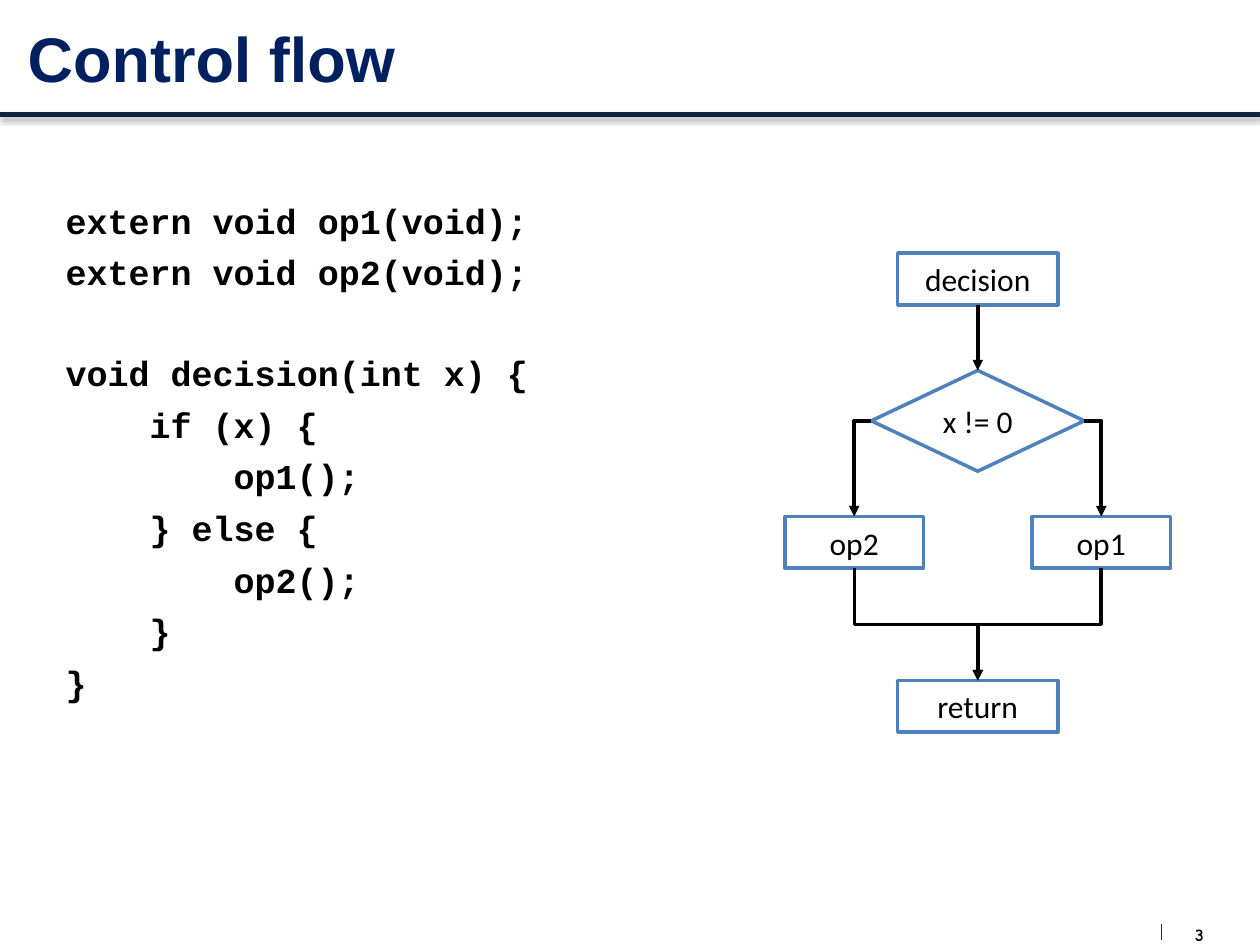
from lxml.etree import SubElement
from pptx import Presentation
from pptx.dml.color import RGBColor
from pptx.enum.shapes import MSO_CONNECTOR, MSO_SHAPE
from pptx.enum.text import MSO_ANCHOR, MSO_AUTO_SIZE, PP_ALIGN
from pptx.oxml.ns import qn
from pptx.util import Inches, Pt

BLACK = RGBColor(0x00, 0x00, 0x00)
WHITE = RGBColor(0xFF, 0xFF, 0xFF)
TITLE_NAVY = RGBColor(0x00, 0x20, 0x60)
RULE_NAVY = RGBColor(0x0F, 0x24, 0x3E)
FOOTER_SLATE = RGBColor(0x17, 0x2F, 0x37)
NODE_BLUE = RGBColor(0x4F, 0x81, 0xBD)

TOP, LEFT, BOTTOM, RIGHT = range(4)
CODE_SIZE = 20
CODE_INDENT = Pt(4 * 0.6 * CODE_SIZE)
CODE_SPACE = 5.5
CODE_LINE = 28.1
CODE_BLOCKS = [
    [(0, "extern void op1(void);"), (0, "extern void op2(void);")],
    [
        (0, "void decision(int x) {"),
        (1, "if (x) {"),
        (2, "op1();"),
        (1, "} else {"),
        (2, "op2();"),
        (1, "}"),
        (0, "}"),
    ],
]


class SlideBuilder:
    def __init__(self, deck):
        self.slide = deck.slides.add_slide(deck.slide_layouts[1])

    def place(self, shape, left, top, width, height):
        shape.left, shape.top = Inches(left), Inches(top)
        shape.width, shape.height = Inches(width), Inches(height)

    def add_text(self, para, text, font, size, color=BLACK, bold=False):
        span = para.add_run()
        span.text = text
        span.font.name = font
        span.font.size = Pt(size)
        span.font.bold = bold
        span.font.color.rgb = color

    def title(self, text):
        box = self.slide.shapes.title
        self.place(box, 0.12, -0.17, 9.17, 1.25)
        box.text_frame.auto_size = MSO_AUTO_SIZE.NONE
        box.text_frame.vertical_anchor = MSO_ANCHOR.MIDDLE
        para = box.text_frame.paragraphs[0]
        para.alignment = PP_ALIGN.LEFT
        self.add_text(para, text, "Arial", 36, TITLE_NAVY, True)

    def code(self, blocks):
        box = self.slide.placeholders[1]
        self.place(box, 0.42, 1.53, 4.5, 5.94)
        frame = box.text_frame
        frame.auto_size = MSO_AUTO_SIZE.NONE
        para = frame.paragraphs[0]
        for block_index, block in enumerate(blocks):
            for line_index, (depth, text) in enumerate(block):
                if block_index or line_index:
                    para = frame.add_paragraph()
                starts_block = block_index > 0 and line_index == 0
                para.space_before = Pt(CODE_SPACE + CODE_LINE * starts_block)
                para.alignment = PP_ALIGN.JUSTIFY
                properties = para._p.get_or_add_pPr()
                properties.set("marL", str(depth * CODE_INDENT))
                properties.set("indent", "0")
                SubElement(properties, qn("a:buNone"))
                self.add_text(para, text, "Courier New", CODE_SIZE, bold=True)

    def label(self, text, left, top, width, height):
        box = self.slide.shapes.add_textbox(0, 0, 0, 0)
        self.place(box, left, top, width, height)
        frame = box.text_frame
        frame.word_wrap = True
        frame.margin_left = frame.margin_right = 0
        frame.margin_top = frame.margin_bottom = 0
        para = frame.paragraphs[0]
        para.alignment = PP_ALIGN.CENTER
        self.add_text(para, text, "Comic Neue", 10, bold=True)

    def node(self, text, center, top, width, height=0.41, kind=MSO_SHAPE.FLOWCHART_PROCESS):
        node = self.slide.shapes.add_shape(kind, 0, 0, 0, 0)
        self.place(node, center - width / 2, top, width, height)
        node.shadow.inherit = False
        node.fill.solid()
        node.fill.fore_color.rgb = WHITE
        node.line.color.rgb = NODE_BLUE
        node.line.width = Pt(2)
        node.text_frame.vertical_anchor = MSO_ANCHOR.MIDDLE
        para = node.text_frame.paragraphs[0]
        para.alignment = PP_ALIGN.CENTER
        self.add_text(para, text, "Calibri", 18)
        return node

    def line(self, start, end, color, width, kind=MSO_CONNECTOR.STRAIGHT, shadow=False):
        points = [Inches(value) for value in (*start, *end)]
        line = self.slide.shapes.add_connector(kind, *points)
        line.line.color.rgb = color
        line.line.width = Pt(width)
        effects = SubElement(line._element.spPr, qn("a:effectLst"))
        if shadow:
            outer = SubElement(effects, qn("a:outerShdw"), blurRad=str(Pt(3.1)),
                               dist=str(Pt(1.8)), dir="5400000", rotWithShape="0")
            tint = SubElement(outer, qn("a:srgbClr"), val="000000")
            SubElement(tint, qn("a:alpha"), val="35000")
        return line

    def arrow(self, source, source_side, target, kind=MSO_CONNECTOR.STRAIGHT):
        arrow = self.line((0, 0), (0, 0), BLACK, 2, kind)
        arrow.begin_connect(source, source_side)
        arrow.end_connect(target, TOP)
        SubElement(arrow._element.spPr.get_or_add_ln(), qn("a:tailEnd"), type="triangle")
        return arrow

    def branch(self, source, side, target):
        arrow = self.arrow(source, side, target, MSO_CONNECTOR.ELBOW)
        arrow._element.spPr.find(qn("a:prstGeom")).set("prst", "bentConnector2")

    def merge(self, source, target):
        arrow = self.arrow(source, BOTTOM, target, MSO_CONNECTOR.ELBOW)
        rightward = arrow.end_x > arrow.begin_x
        across, down = arrow.width, arrow.height
        arrow.left += (across - down) // 2
        arrow.top += (down - across) // 2
        arrow.width, arrow.height = down, across
        transform = arrow._element.spPr.find(qn("a:xfrm"))
        transform.set("rot", str((270 if rightward else 90) * 60000))
        transform.set("flipH", "1" if rightward else "0")


def main():
    deck = Presentation()
    deck.slide_width, deck.slide_height = Inches(10), Inches(7.5)
    page = SlideBuilder(deck)

    page.line((0, 0.91), (10, 0.91), RULE_NAVY, 3, shadow=True)
    page.label("3", 9.35, 7.33, 0.34, 0.17)
    page.line((9.22, 7.33), (9.22, 7.46), FOOTER_SLATE, 0.75)
    page.title("Control flow")
    page.code(CODE_BLOCKS)

    middle, offset = 7.76, 0.98
    entry = page.node("decision", middle, 2.01, 1.27)
    test = page.node("x != 0", middle, 2.94, 1.69, 0.8, MSO_SHAPE.FLOWCHART_DECISION)
    otherwise = page.node("op2", middle - offset, 4.1, 1.1)
    then = page.node("op1", middle + offset, 4.1, 1.1)
    leave = page.node("return", middle, 5.4, 1.27)

    page.arrow(entry, BOTTOM, test)
    for side, operation in ((RIGHT, then), (LEFT, otherwise)):
        page.branch(test, side, operation)
        page.merge(operation, leave)

    deck.save("out.pptx")


if __name__ == "__main__":
    main()
